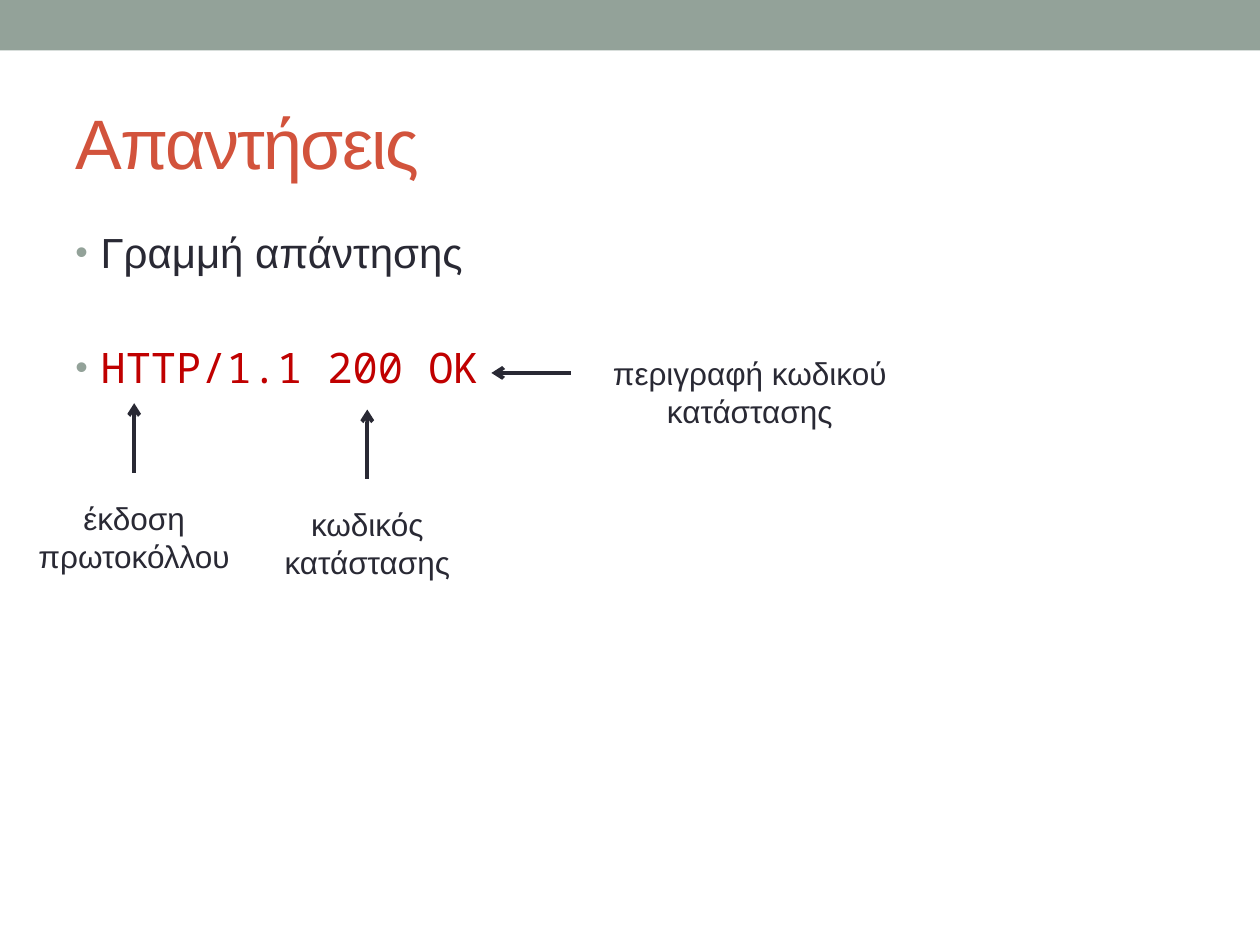
"""Build a slide that explains the parts of an HTTP response line."""
import pptx
import pptx.dml.color
import pptx.enum.shapes
import pptx.enum.text
import pptx.oxml
import pptx.oxml.ns
import pptx.util

Inches = pptx.util.Inches
Pt = pptx.util.Pt
ANCHOR = pptx.enum.text.MSO_ANCHOR
ALIGN = pptx.enum.text.PP_ALIGN

COLORS = {"band": "93A299", "title": "D2533C", "text": "292934", "code": "C00000"}
TITLE = "Απαντήσεις"
BULLETS = [
    {"text": "Γραμμή απάντησης", "font": "Arial", "color": "text", "before": 4},
    {"text": "HTTP/1.1 200 OK", "font": "Noto Sans Mono", "color": "code", "before": 37},
]
LABELS = [
    {"text": "έκδοση πρωτοκόλλου", "at": (0.2, 3.91), "width": 1.73, "points": "up"},
    {"text": "κωδικός κατάστασης", "at": (2.09, 3.96), "width": 1.65, "points": "up"},
    {"text": "περιγραφή κωδικού κατάστασης", "at": (4.69, 2.76), "width": 2.52, "points": "left"},
]
LABEL_HEIGHT = 0.71
ARROW_GAP = 0.16
ARROW_LENGTH = {"up": 0.55, "left": 0.63}
FIRST_LINE_MIDDLE = 0.2


def rgb(name):
    return pptx.dml.color.RGBColor.from_string(COLORS[name])


def add_box(slide, left, top, width, height, anchor=ANCHOR.TOP):
    box = slide.shapes.add_textbox(Inches(left), Inches(top), Inches(width), Inches(height))
    box.text_frame.word_wrap = True
    box.text_frame.vertical_anchor = anchor
    return box.text_frame


def add_span(para, text, size, color, font="Arial"):
    span = para.add_run()
    span.text = text
    span.font.size = Pt(size)
    span.font.name = font
    span.font.color.rgb = rgb(color)
    return span


def add_xml(parent, markup):
    namespace = pptx.oxml.ns.nsdecls("a")
    parent.append(pptx.oxml.parse_xml(markup.replace("/>", f" {namespace}/>", 1)
                                      if markup.count("<") == 1
                                      else markup.replace(">", f" {namespace}>", 1)))


def set_bullet(para):
    properties = para._p.get_or_add_pPr()
    properties.set("marL", str(Inches(0.2)))
    properties.set("indent", str(-Inches(0.2)))
    add_xml(properties, f'<a:buClr><a:srgbClr val="{COLORS["band"]}"/></a:buClr>')
    add_xml(properties, '<a:buSzPct val="85000"/>')
    add_xml(properties, '<a:buFont typeface="Arial"/>')
    add_xml(properties, '<a:buChar char="•"/>')


def add_arrow(slide, start, end):
    arrow = slide.shapes.add_connector(
        pptx.enum.shapes.MSO_CONNECTOR.STRAIGHT, *(Inches(value) for value in start + end))
    arrow.line.color.rgb = rgb("text")
    arrow.line.width = Pt(2.25)
    add_xml(arrow.line._get_or_add_ln(), '<a:tailEnd type="arrow"/>')
    add_xml(arrow._element.spPr, "<a:effectLst/>")


def add_label(slide, label):
    left, top = label["at"]
    length = ARROW_LENGTH[label["points"]]
    if label["points"] == "up":
        middle, tail = left + label["width"] / 2, top - ARROW_GAP
        add_arrow(slide, (middle, tail), (middle, tail - length))
    else:
        middle, tail = top + FIRST_LINE_MIDDLE, left - ARROW_GAP
        add_arrow(slide, (tail, middle), (tail - length, middle))
    frame = add_box(slide, left, top, label["width"], LABEL_HEIGHT)
    frame.auto_size = pptx.enum.text.MSO_AUTO_SIZE.SHAPE_TO_FIT_TEXT
    para = frame.paragraphs[0]
    para.alignment = ALIGN.CENTER
    add_span(para, label["text"], 18, "text")


def main():
    deck = pptx.Presentation()
    deck.slide_width, deck.slide_height = Inches(10), Inches(7.5)
    slide = deck.slides.add_slide(deck.slide_layouts[6])

    band = slide.shapes.add_shape(
        pptx.enum.shapes.MSO_SHAPE.RECTANGLE, 0, 0, deck.slide_width, Inches(0.4))
    band.shadow.inherit = False
    band.fill.solid()
    band.fill.fore_color.rgb = rgb("band")
    band.line.fill.background()

    title = add_box(slide, 0.5, 0.58, 9, 1.08, ANCHOR.MIDDLE)
    span = add_span(title.paragraphs[0], TITLE, 40, "title")
    span.font._element.set("spc", "-100")

    body = add_box(slide, 0.5, 1.75, 9, 5.33)
    for index, bullet in enumerate(BULLETS):
        para = body.add_paragraph() if index else body.paragraphs[0]
        para.space_before = Pt(bullet["before"])
        set_bullet(para)
        add_span(para, bullet["text"], 24, bullet["color"], bullet["font"])

    for label in LABELS:
        add_label(slide, label)
    deck.save("out.pptx")


if __name__ == "__main__":
    main()
